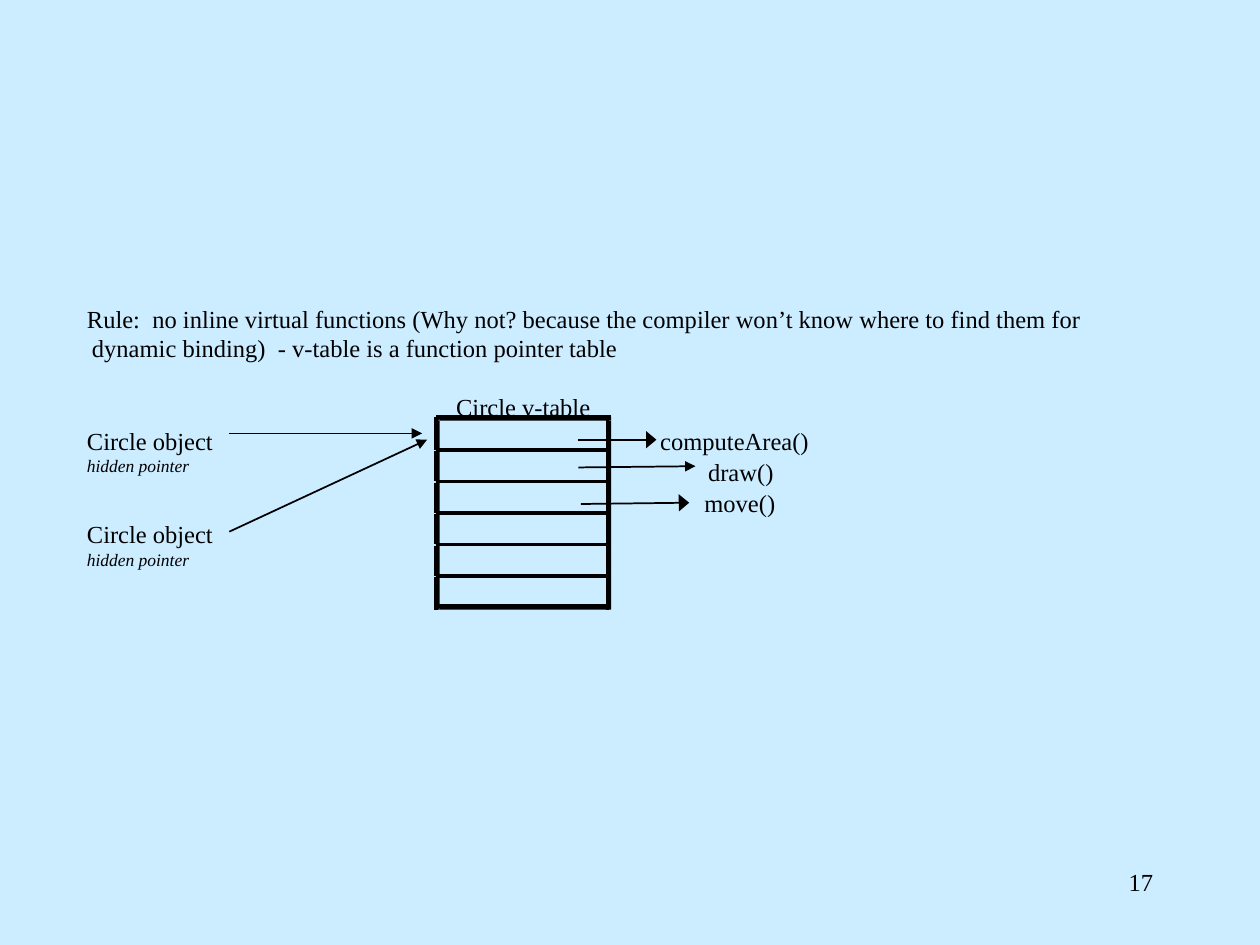
from typing import NamedTuple

from lxml import etree
from pptx import Presentation
from pptx.dml.color import RGBColor
from pptx.enum.shapes import MSO_CONNECTOR, MSO_SHAPE
from pptx.enum.text import MSO_AUTO_SIZE, PP_ALIGN
from pptx.oxml.ns import qn
from pptx.util import Inches, Pt

RECT = MSO_SHAPE.RECTANGLE
STRAIGHT = MSO_CONNECTOR.STRAIGHT
RIGHT = PP_ALIGN.RIGHT
FIT = MSO_AUTO_SIZE.SHAPE_TO_FIT_TEXT
FONT = "Times New Roman"
BLACK = "000000"
SKY = "CCECFF"


class Label(NamedTuple):
    x: float
    y: float
    w: float
    h: float
    text: str
    note: str = ""


class Arrow(NamedTuple):
    x1: float
    y1: float
    x2: float
    y2: float
    head: str = "med"


LABELS = [
    Label(0.69, 2.41, 7.92, 0.23, "Rule:  no inline virtual functions (Why not? because "
          "the compiler won’t know where to find them for"),
    Label(0.73, 2.64, 4.2, 0.23, "dynamic binding)  - v-table is a function pointer table"),
    Label(3.62, 3.11, 1.09, 0.23, "Circle v-table"),
    Label(0.69, 3.38, 1.03, 0.4, "Circle object", "hidden pointer"),
    Label(0.69, 4.12, 1.03, 0.4, "Circle object", "hidden pointer"),
    Label(5.24, 3.38, 1.2, 0.23, "computeArea()"),
    Label(5.62, 3.63, 0.54, 0.23, "draw()"),
    Label(5.59, 3.87, 0.59, 0.23, "move()"),
]

ARROWS = [
    Arrow(1.82, 3.44, 3.35, 3.44),
    Arrow(1.82, 4.22, 3.39, 3.49),
    Arrow(4.59, 3.49, 5.21, 3.49, "lg"),
    Arrow(4.59, 3.71, 5.52, 3.7),
    Arrow(4.61, 4, 5.47, 3.99, "lg"),
]

# V-table geometry
LEFT, TOP, BOTTOM, WIDTH = 3.46, 3.31, 4.81, 1.39
ROWS, PITCH = 6, 0.25
FRAME, RULE = 0.03, 0.01
RIGHT_SIDE = LEFT + WIDTH - FRAME


def color(value: str) -> RGBColor:
    return RGBColor.from_string(value)


def set_font(p, size: float, italic: bool = False) -> None:
    p.font.name = FONT
    p.font.size = Pt(size)
    p.font.italic = italic
    p.font.color.rgb = color(BLACK)


def add_label(s, label: Label) -> None:
    box = s.shapes.add_textbox(*map(Inches, label[:4]))
    tf = box.text_frame
    tf.margin_left = tf.margin_right = tf.margin_top = tf.margin_bottom = 0
    tf.word_wrap = False
    tf.auto_size = FIT
    p = tf.paragraphs[0]
    p.text = label.text
    set_font(p, 14)
    if label.note:
        p = tf.add_paragraph()
        p.text = label.note
        set_font(p, 10, italic=True)


def add_line(s, x1: float, y1: float, x2: float, y2: float, width: float = 0):
    line = s.shapes.add_connector(STRAIGHT, *map(Inches, (x1, y1, x2, y2)))
    line.line.color.rgb = color(BLACK)
    line.line.width = Pt(width)
    etree.SubElement(line._element.spPr, qn("a:effectLst"))
    return line


def add_bar(s, x: float, y: float, w: float, h: float) -> None:
    """Draw a black bar with a hairline along its long edge."""
    bar = s.shapes.add_shape(RECT, *map(Inches, (x, y, w, h)))
    bar.shadow.inherit = False
    bar.fill.solid()
    bar.fill.fore_color.rgb = color(BLACK)
    bar.line.fill.background()
    if w >= h:
        add_line(s, x, y, x + w, y)
    else:
        add_line(s, x, y, x, y + h)


def add_arrow(s, arrow: Arrow) -> None:
    line = add_line(s, *arrow[:4], width=1)
    etree.SubElement(line.line._get_or_add_ln(), qn("a:tailEnd"),
                     type="triangle", w=arrow.head, len="med")


def add_vtable(s) -> None:
    inner = [TOP + RULE + row * PITCH for row in range(1, ROWS)]
    edges = [TOP, *inner, BOTTOM]
    heights = [FRAME, *[RULE] * len(inner), FRAME]
    columns = [(LEFT, FRAME), (LEFT + FRAME, WIDTH - 2 * FRAME), (RIGHT_SIDE, FRAME)]

    # Horizontal borders, with the corners as separate pieces
    for y, h in zip(edges, heights):
        for x, w in columns:
            add_bar(s, x, y, w, h)
    for y in (TOP, BOTTOM):
        for x in (LEFT, RIGHT_SIDE):
            add_line(s, x, y, x, y + FRAME)

    # Side borders of each row
    for y, h, below in zip(edges, heights, edges[1:]):
        for x in (LEFT, RIGHT_SIDE):
            add_bar(s, x, y + h, FRAME, below - y - h)


def add_page_number(s, number: int) -> None:
    tf = s.shapes.add_textbox(*map(Inches, (7.17, 6.83, 2.08, 0.5))).text_frame
    tf.word_wrap = True
    p = tf.paragraphs[0]
    p.text = str(number)
    p.alignment = RIGHT
    set_font(p, 14)


def main() -> None:
    prs = Presentation()
    prs.slide_width, prs.slide_height = Inches(10), Inches(7.5)
    s = prs.slides.add_slide(prs.slide_layouts[6])
    s.background.fill.solid()
    s.background.fill.fore_color.rgb = color(SKY)

    for label in LABELS:
        add_label(s, label)
    add_vtable(s)
    for arrow in ARROWS:
        add_arrow(s, arrow)
    add_page_number(s, 17)

    prs.save("out.pptx")


if __name__ == "__main__":
    main()
